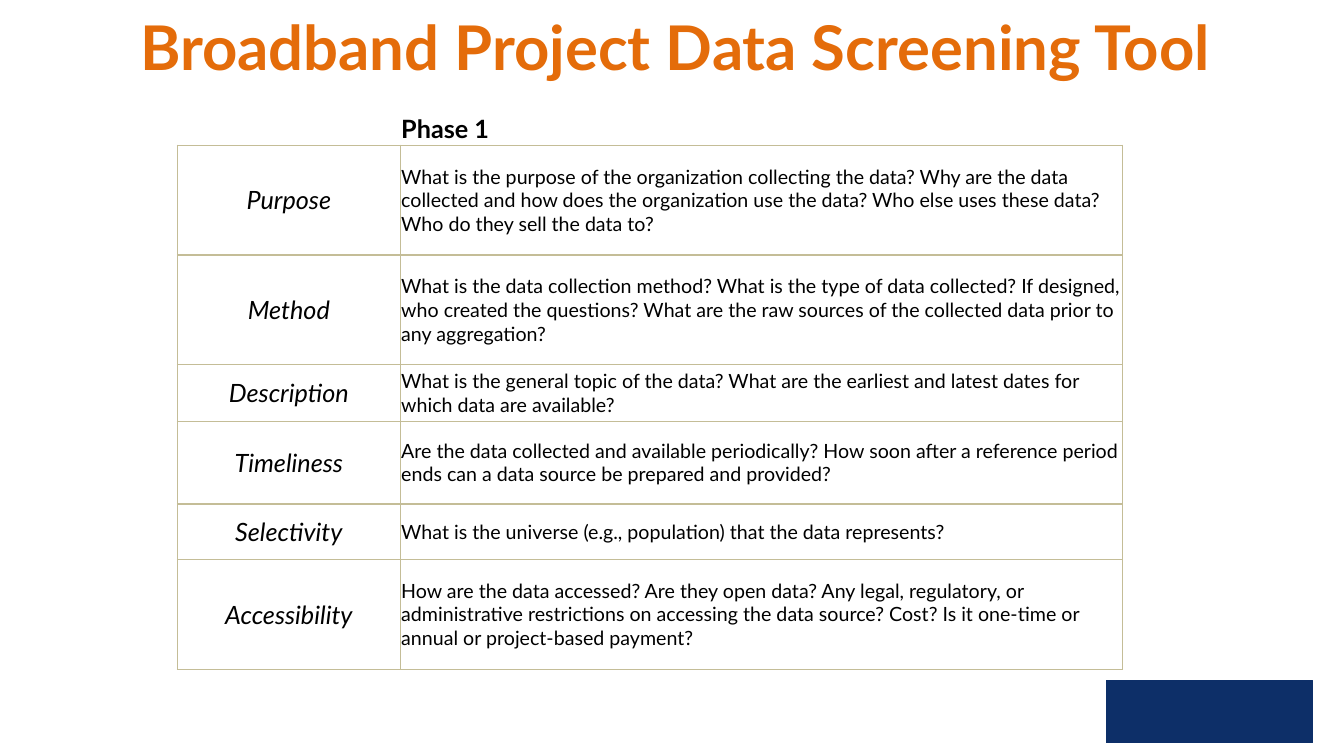
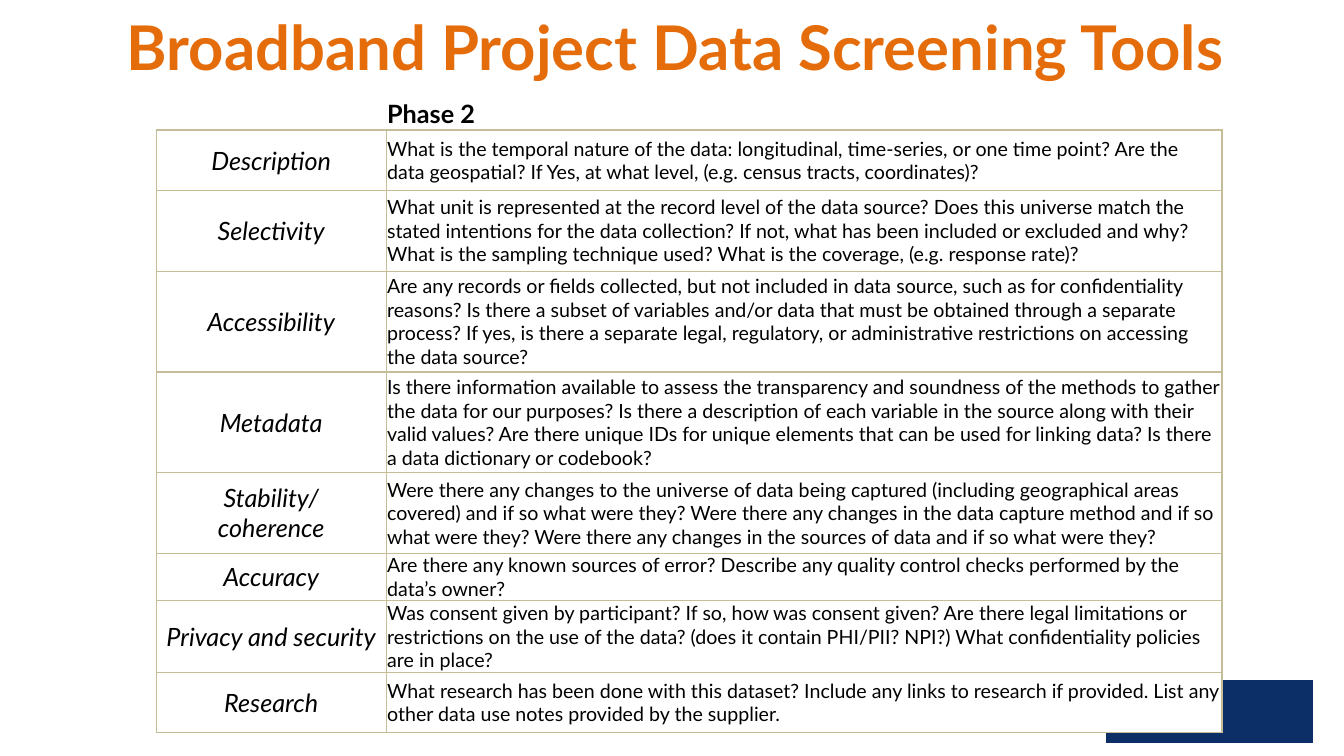
import pptx
import pptx.dml.color
import pptx.enum.shapes
import pptx.enum.text
import pptx.oxml.ns
import pptx.util
from lxml import etree

Inches = pptx.util.Inches
Pt = pptx.util.Pt
RGBColor = pptx.dml.color.RGBColor
PP_ALIGN = pptx.enum.text.PP_ALIGN
MSO_ANCHOR = pptx.enum.text.MSO_ANCHOR
qn = pptx.oxml.ns.qn

FONT = "Lato"
ORANGE = RGBColor(0xE4, 0x6C, 0x0A)
NAVY = RGBColor(0x0D, 0x2F, 0x68)
TAN = RGBColor(0xC4, 0xBD, 0x97)
BLACK = RGBColor(0, 0, 0)
WHITE = RGBColor(0xFF, 0xFF, 0xFF)

HEADER_HEIGHT = 0.32

# Each row: height, topic, questions
PHASE_1 = [
    (1.09, "Purpose",
     "What is the purpose of the organization collecting the data? Why are the data "
     "collected and how does the organization use the data? Who else uses these data? "
     "Who do they sell the data to?"),
    (1.09, "Method",
     "What is the data collection method? What is the type of data collected? If "
     "designed, who created the questions? What are the raw sources of the collected "
     "data prior to any aggregation?"),
    (0.56, "Description",
     "What is the general topic of the data? What are the earliest and latest dates for "
     "which data are available?"),
    (0.82, "Timeliness",
     "Are the data collected and available periodically? How soon after a reference "
     "period ends can a data source be prepared and provided?"),
    (0.55, "Selectivity",
     "What is the universe (e.g., population) that the data represents?"),
    (1.09, "Accessibility",
     "How are the data accessed? Are they open data? Any legal, regulatory, or "
     "administrative restrictions on accessing the data source? Cost? Is it one-time or "
     "annual or project-based payment?"),
]

PHASE_2 = [
    (0.6, "Description",
     "What is the temporal nature of the data: longitudinal, time-series, or one time "
     "point? Are the data geospatial? If Yes, at what level, (e.g. census tracts, "
     "coordinates)?"),
    (0.8, "Selectivity",
     "What unit is represented at the record level of the data source? Does this universe "
     "match the stated intentions for the data collection? If not, what has been included "
     "or excluded and why? What is the sampling technique used? What is the coverage, "
     "(e.g. response rate)?"),
    (1, "Accessibility",
     "Are any records or fields collected, but not included in data source, such as for "
     "confidentiality reasons? Is there a subset of variables and/or data that must be "
     "obtained through a separate process? If yes, is there a separate legal, regulatory, "
     "or administrative restrictions on accessing the data source?"),
    (1, "Metadata",
     "Is there information available to assess the transparency and soundness of the "
     "methods to gather the data for our purposes? Is there a description of each variable "
     "in the source along with their valid values? Are there unique IDs for unique elements "
     "that can be used for linking data? Is there a data dictionary or codebook?"),
    (0.8, "Stability/\ncoherence",
     "Were there any changes to the universe of data being captured (including geographical "
     "areas covered) and if so what were they? Were there any changes in the data capture "
     "method and if so what were they? Were there any changes in the sources of data and if "
     "so what were they?"),
    (0.47, "Accuracy",
     "Are there any known sources of error? Describe any quality control checks performed "
     "by the data’s owner?"),
    (0.71, "Privacy and security",
     "Was consent given by participant? If so, how was consent given? Are there legal "
     "limitations or restrictions on the use of the data? (does it contain PHI/PII? NPI?) "
     "What confidentiality policies are in place?"),
    (0.6, "Research",
     "What research has been done with this dataset? Include any links to research if "
     "provided. List any other data use notes provided by the supplier."),
]


def format_text(tf, size, color=BLACK, bold=False, italic=False, align=PP_ALIGN.LEFT):
    for p in tf.paragraphs:
        p.alignment = align
        p.font.size = Pt(size)
        for r in p.runs:
            r.font.name = FONT
            r.font.size = Pt(size)
            r.font.bold = bold
            r.font.italic = italic
            r.font.color.rgb = color


def add_title(s, text):
    tf = s.shapes.add_textbox(Inches(0.7), Inches(0.18), Inches(12), Inches(1.25)).text_frame
    tf.word_wrap = True
    tf.vertical_anchor = MSO_ANCHOR.TOP
    tf.text = text
    tf.paragraphs[0].line_spacing = 0.8
    format_text(tf, 44, ORANGE, bold=True, align=PP_ALIGN.CENTER)


def add_corner_band(s):
    sp = s.shapes.add_shape(pptx.enum.shapes.MSO_SHAPE.RECTANGLE,
                            Inches(10.97), Inches(6.75), Inches(2.05), Inches(0.62))
    sp.shadow.inherit = False
    sp.fill.solid()
    sp.fill.fore_color.rgb = NAVY
    sp.line.color.rgb = NAVY
    sp.line.width = Pt(0.75)


def set_borders(cell, visible):
    """Draw the sides named in visible (from "LRTB") and clear the others."""
    tc_pr = cell._tc.get_or_add_tcPr()
    for side in "LRTB":
        ln = etree.SubElement(tc_pr, qn(f"a:ln{side}"), w=str(Pt(1)))
        if side in visible:
            fill = etree.SubElement(ln, qn("a:solidFill"))
            etree.SubElement(fill, qn("a:srgbClr"), val=str(TAN))
        else:
            etree.SubElement(ln, qn("a:noFill"))


def fill_cell(cell, text, margin, fill, borders="LRTB", **style):
    cell.margin_left = cell.margin_right = Inches(0.01)
    cell.margin_top = cell.margin_bottom = Inches(margin)
    cell.vertical_anchor = MSO_ANCHOR.MIDDLE
    set_borders(cell, borders)
    if fill is None:
        cell.fill.background()
    else:
        cell.fill.solid()
        cell.fill.fore_color.rgb = fill
    cell.text_frame.text = text
    format_text(cell.text_frame, **style)


def add_question_table(s, phase, rows, left, top, widths, margin, fill=None):
    heights = [HEADER_HEIGHT] + [height for height, _, _ in rows]
    table = s.shapes.add_table(len(heights), len(widths), Inches(left), Inches(top),
                               Inches(sum(widths)), Inches(sum(heights))).table
    table.first_row = table.horz_banding = False
    for column, width in zip(table.columns, widths):
        column.width = Inches(width)
    for row, height in zip(table.rows, heights):
        row.height = Inches(height)

    for col, text in enumerate(("", phase)):
        fill_cell(table.cell(0, col), text, margin, fill, borders="B", size=18, bold=True)
    for i, (_, topic, questions) in enumerate(rows, start=1):
        fill_cell(table.cell(i, 0), topic, margin, fill,
                  size=18, italic=True, align=PP_ALIGN.CENTER)
        fill_cell(table.cell(i, 1), questions, margin, fill, size=14)


def add_slide(prs, title):
    s = prs.slides.add_slide(prs.slide_layouts[6])
    add_corner_band(s)
    add_title(s, title)
    return s


def main():
    prs = pptx.Presentation()
    prs.slide_width = Inches(13.33)
    prs.slide_height = Inches(7.5)

    s = add_slide(prs, "Broadband Project Data Screening Tool")
    add_question_table(s, "Phase 1", PHASE_1, 1.76, 1.12, (2.21, 7.16), margin=0.01)

    s = add_slide(prs, "Broadband Project Data Screening Tools")
    add_question_table(s, "Phase 2", PHASE_2, 1.55, 0.97, (2.28, 8.29), margin=0, fill=WHITE)

    prs.save("out.pptx")


if __name__ == "__main__":
    main()
